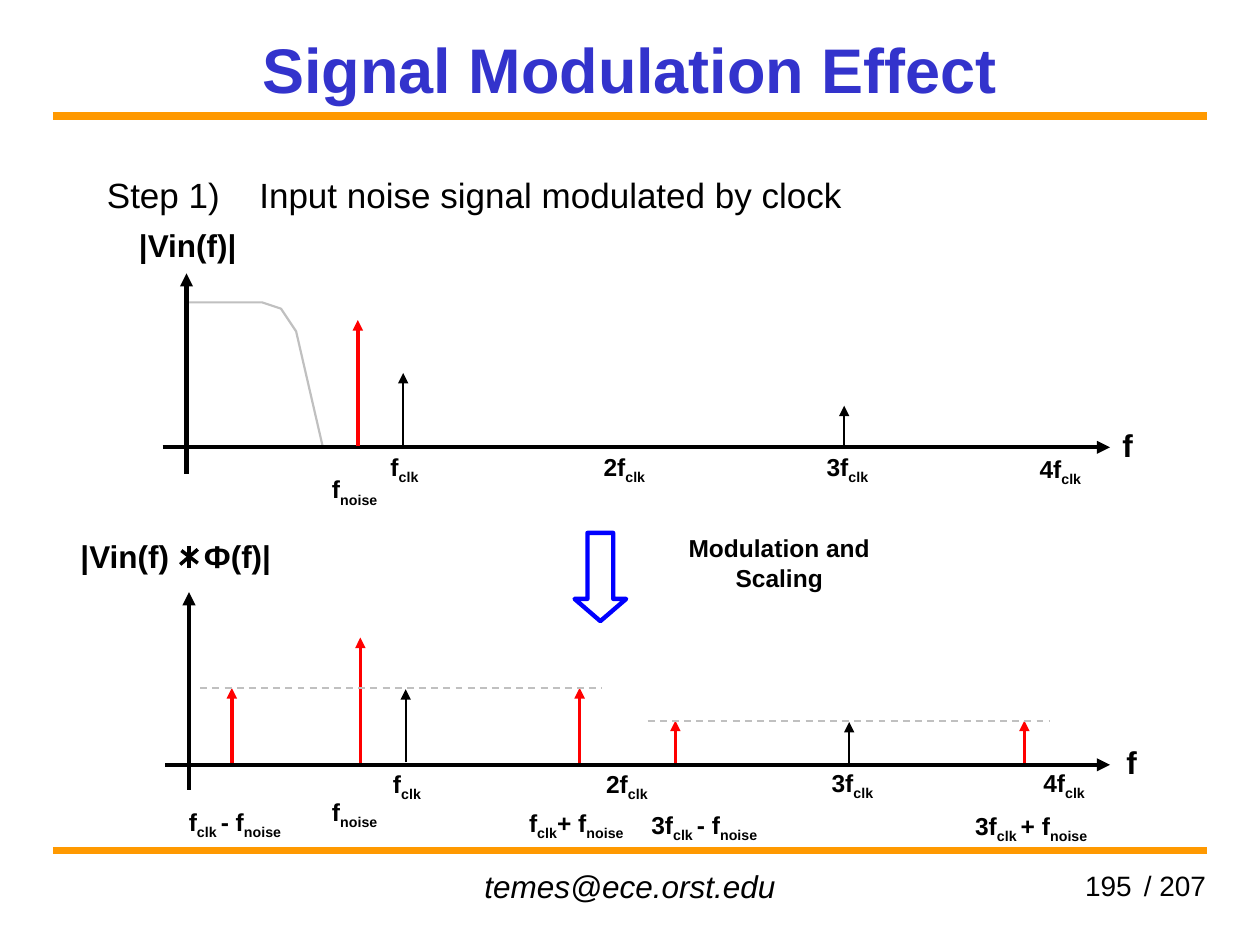
from dataclasses import dataclass
from typing import Optional

from pptx import Presentation
from pptx.dml.color import RGBColor
from pptx.enum.dml import MSO_LINE
from pptx.enum.shapes import MSO_CONNECTOR, MSO_SHAPE
from pptx.enum.text import MSO_ANCHOR, PP_ALIGN
from pptx.oxml.ns import qn
from pptx.util import Inches, Pt
from lxml.etree import SubElement


@dataclass(frozen=True)
class Theme:
    font: str = "Arial"
    black: str = "000000"
    title: str = "3333CC"
    rule: str = "FF9900"
    noise: str = "FF0000"
    guide: str = "C0C0C0"
    step_arrow: str = "0000FF"
    title_size: int = 36
    body_size: int = 20
    axis_size: int = 18
    page_size: int = 16
    label_size: int = 14


THEME = Theme()


@dataclass(frozen=True)
class Stroke:
    color: str
    width: float
    arrow: bool = False
    dashed: bool = False


RULE = Stroke(THEME.rule, 4.5)
AXIS = Stroke(THEME.black, 2.5, arrow=True)
CLOCK = Stroke(THEME.black, 1, arrow=True)
NOISE = Stroke(THEME.noise, 2, arrow=True)
GUIDE = Stroke(THEME.guide, 1, dashed=True)
STAR = Stroke(THEME.black, 2)


@dataclass(frozen=True)
class Line:
    x1: float
    y1: float
    x2: float
    y2: float
    stroke: Stroke


@dataclass(frozen=True)
class Label:
    """Pieces alternate between baseline text and subscript."""
    pieces: tuple[str, ...]
    left: float
    top: float
    width: float
    height: float = 0.33
    size: int = THEME.label_size
    bold: bool = True
    italic: bool = False
    align: PP_ALIGN = PP_ALIGN.CENTER
    anchor: MSO_ANCHOR = MSO_ANCHOR.BOTTOM
    wrap: bool = False
    hanging: Optional[float] = None


def spike(x: float, base: float, tip: float, stroke: Stroke) -> Line:
    return Line(x, base, x, tip, stroke)


def multiple(n: str, left: float, top: float) -> Label:
    return Label((f"{n}f", "clk"), left, top, 0.55 if n else 0.44)


def sideband(n: str, gap: str, sign: str, left: float, top: float, width: float) -> Label:
    return Label((f"{n}f", f"clk{gap}", f"{sign} f", "noise"), left, top, width, wrap=True)


LINES = [
    Line(0.42, 0.92, 9.58, 0.92, RULE),
    Line(0.42, 6.75, 9.58, 6.75, RULE),
    # Input spectrum
    Line(1.48, 3.76, 1.48, 2.17, AXIS),
    Line(1.29, 3.55, 8.81, 3.55, AXIS),
    spike(3.2, 3.53, 2.96, CLOCK),
    spike(6.7, 3.55, 3.22, CLOCK),
    spike(2.84, 3.54, 2.54, NOISE),
    # Modulated spectrum
    Line(1.5, 6.27, 1.5, 4.7, AXIS),
    spike(3.22, 6.05, 5.47, CLOCK),
    spike(6.74, 6.06, 5.73, CLOCK),
    spike(2.86, 6.06, 5.06, NOISE),
    *(spike(x, 6.06, 5.46, NOISE) for x in (1.84, 4.6)),
    Line(1.59, 5.46, 4.78, 5.46, GUIDE),
    *(spike(x, 6.06, 5.72, NOISE) for x in (5.36, 8.13)),
    Line(5.14, 5.72, 8.33, 5.72, GUIDE),
    Line(1.31, 6.07, 8.81, 6.07, AXIS),
    # Convolution star
    Line(1.5, 4.33, 1.5, 4.51, STAR),
    Line(1.43, 4.48, 1.57, 4.36, STAR),
    Line(1.44, 4.37, 1.57, 4.47, STAR),
]

LABELS = [
    Label(("Step 1)\tInput noise signal modulated by clock",), 0.75, 1.33, 8.62, 1.07,
          THEME.body_size, bold=False, align=PP_ALIGN.LEFT, anchor=MSO_ANCHOR.TOP,
          wrap=True, hanging=1.21),
    Label(("|Vin(f)|",), 1, 1.74, 0.98, 0.4, THEME.axis_size),
    Label(("f",), 8.81, 3.33, 0.28, 0.4, THEME.axis_size),
    multiple("", 2.99, 3.57),
    multiple("2", 4.68, 3.57),
    multiple("3", 6.45, 3.57),
    multiple("4", 8.14, 3.59),
    Label(("f", "noise"), 2.52, 3.75, 0.59),
    Label(("Modulation and Scaling",), 5.25, 4.18, 1.87, 0.57, wrap=True),
    Label(("|Vin(f)\tФ(f)|",), 0.54, 4.21, 1.85, 0.4, THEME.axis_size,
          align=PP_ALIGN.LEFT, wrap=True, hanging=0.98),
    Label(("f",), 8.84, 5.85, 0.28, 0.4, THEME.axis_size),
    multiple("", 3.01, 6.09),
    multiple("2", 4.7, 6.09),
    multiple("3", 6.49, 6.08),
    multiple("4", 8.17, 6.08),
    Label(("f", "noise"), 2.52, 6.31, 0.59),
    sideband("", " ", "-", 1.34, 6.39, 1.05),
    sideband("", "", "+", 4.06, 6.4, 1.03),
    sideband("3", " ", "-", 5.04, 6.41, 1.1),
    sideband("3", " ", "+", 7.6, 6.42, 1.17),
    Label(("temes@ece.orst.edu",), 3.25, 6.83, 3.5, 0.4, THEME.axis_size,
          bold=False, italic=True, anchor=MSO_ANCHOR.TOP, wrap=True),
    *(Label((text,), left, 6.83, width, 0.4, THEME.page_size, bold=False,
            align=PP_ALIGN.RIGHT, anchor=MSO_ANCHOR.MIDDLE, wrap=True)
      for text, left, width in (("195", 7.69, 1.39), ("/ 207", 7.42, 2.25))),
]


def set_format(target, values: dict) -> None:
    for name, value in values.items():
        setattr(target, name, value)


def set_font(font, color: str, size: int, bold: bool, italic: bool = False) -> None:
    set_format(font, {"name": THEME.font, "size": Pt(size), "bold": bold, "italic": italic})
    font.color.rgb = RGBColor.from_string(color)


def set_outline(shape, color: str, width: float) -> None:
    shape.line.color.rgb = RGBColor.from_string(color)
    shape.line.width = Pt(width)


def draw_line(slide, line: Line) -> None:
    connector = slide.shapes.add_connector(
        MSO_CONNECTOR.STRAIGHT, *map(Inches, (line.x1, line.y1, line.x2, line.y2)))
    set_outline(connector, line.stroke.color, line.stroke.width)
    if line.stroke.dashed:
        connector.line.dash_style = MSO_LINE.DASH
    properties = connector._element.spPr
    if line.stroke.arrow:
        SubElement(properties.find(qn("a:ln")), qn("a:tailEnd"), type="triangle")
    SubElement(properties, qn("a:effectLst"))


def draw_label(slide, label: Label) -> None:
    frame = slide.shapes.add_textbox(
        *map(Inches, (label.left, label.top, label.width, label.height))).text_frame
    set_format(frame, {"word_wrap": label.wrap, "vertical_anchor": label.anchor})
    paragraph = frame.paragraphs[0]
    paragraph.alignment = label.align
    if label.hanging:
        indent = Inches(label.hanging)
        properties = paragraph._p.get_or_add_pPr()
        properties.set("marL", str(indent))
        properties.set("indent", str(-indent))
    for index, piece in enumerate(label.pieces):
        run = paragraph.add_run()
        run.text = piece
        set_font(run.font, THEME.black, label.size, label.bold, label.italic)
        if index % 2:
            run._r.get_or_add_rPr().set("baseline", "-25000")


def draw_title(slide) -> None:
    title = slide.shapes.title
    set_format(title, {"left": Inches(0.75), "top": Inches(0.17),
                       "width": Inches(8.5), "height": Inches(0.75)})
    title.text_frame.text = "Signal Modulation Effect"
    title.text_frame.vertical_anchor = MSO_ANCHOR.MIDDLE
    paragraph = title.text_frame.paragraphs[0]
    paragraph.alignment = PP_ALIGN.CENTER
    set_font(paragraph.runs[0].font, THEME.title, THEME.title_size, bold=True)


def draw_filter_curve(slide) -> None:
    start, *rest = [(Inches(x), Inches(y)) for x, y in
                    ((1.47, 2.4), (2.08, 2.4), (2.23, 2.45), (2.35, 2.63), (2.56, 3.54))]
    builder = slide.shapes.build_freeform(*start)
    builder.add_line_segments(rest, close=False)
    curve = builder.convert_to_shape()
    curve.shadow.inherit = False
    curve.fill.background()
    set_outline(curve, THEME.guide, 1.25)


def draw_step_arrow(slide) -> None:
    arrow = slide.shapes.add_shape(
        MSO_SHAPE.DOWN_ARROW, *map(Inches, (4.56, 4.23, 0.41, 0.7)))
    arrow.adjustments[1] = 0.43
    arrow.shadow.inherit = False
    arrow.fill.background()
    set_outline(arrow, THEME.step_arrow, 2.5)


def main() -> None:
    deck = Presentation()
    set_format(deck, {"slide_width": Inches(10), "slide_height": Inches(7.5)})
    slide = deck.slides.add_slide(deck.slide_layouts.get_by_name("Title Only"))
    draw_title(slide)
    draw_filter_curve(slide)
    for line in LINES:
        draw_line(slide, line)
    draw_step_arrow(slide)
    for label in LABELS:
        draw_label(slide, label)
    deck.save("out.pptx")


if __name__ == "__main__":
    main()
